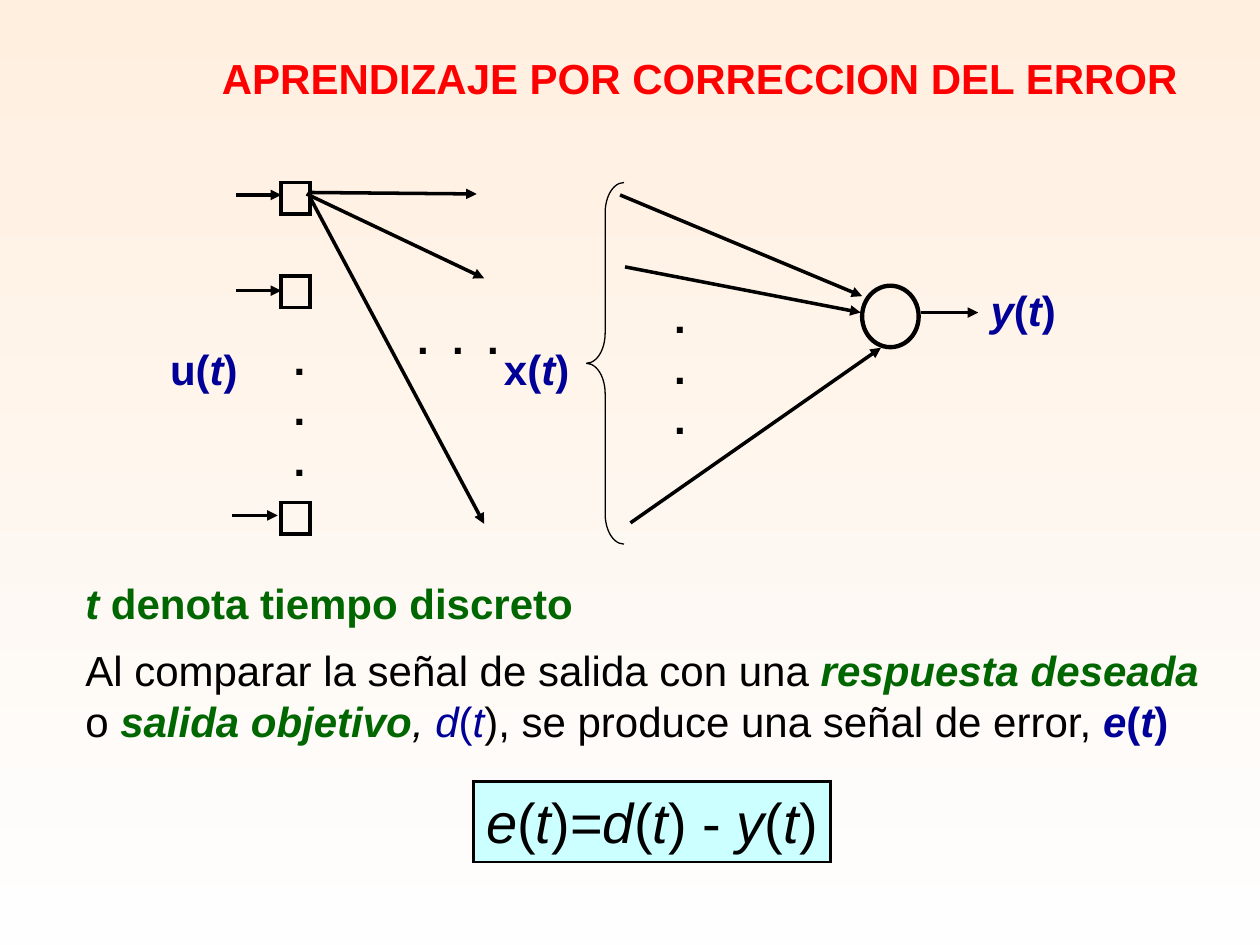
from lxml import etree
from pptx import Presentation
from pptx import util as u
from pptx.dml.color import RGBColor
from pptx.enum import shapes, text
from pptx.oxml import ns

BLACK, RED, GREEN, BLUE = "000000", "FF0000", "006600", "000099"


def rgb(value):
    return RGBColor.from_string(value)


def add_text(sp, paragraphs, size, wrap=True, space=0, fit=True):
    tf = sp.text_frame
    tf.word_wrap = wrap
    if fit:
        tf.auto_size = text.MSO_AUTO_SIZE.SHAPE_TO_FIT_TEXT
    for i, runs in enumerate(paragraphs):
        p = tf.add_paragraph() if i else tf.paragraphs[0]
        p.alignment = text.PP_ALIGN.LEFT
        p.space_before = p.space_after = u.Pt(space)
        for words, color, style in runs:
            r = p.add_run()
            r.text = words
            r.font.name = "Arial"
            r.font.size = u.Pt(size)
            r.font.bold = "b" in style
            r.font.italic = "i" in style
            r.font.color.rgb = rgb(color)
    return tf


def add_label(slide, x, y, w, h, paragraphs, size=24, **options):
    sp = slide.shapes.add_textbox(u.Cm(x), u.Cm(y), u.Cm(w), u.Cm(h))
    return add_text(sp, paragraphs, size, **options)


def add_outline(slide, kind, x, y, w, h, width, fill=None):
    sp = slide.shapes.add_shape(kind, u.Cm(x), u.Cm(y), u.Cm(w), u.Cm(h))
    sp.shadow.inherit = False
    if fill:
        sp.fill.solid()
        sp.fill.fore_color.rgb = rgb(fill)
    else:
        sp.fill.background()
    sp.line.color.rgb = rgb(BLACK)
    sp.line.width = u.Pt(width)
    etree.SubElement(sp.line._get_or_add_ln(), ns.qn("a:miter"), lim="800000")
    return sp


def add_arrow(slide, x1, y1, x2, y2):
    sp = slide.shapes.add_connector(
        shapes.MSO_CONNECTOR.STRAIGHT, u.Cm(x1), u.Cm(y1), u.Cm(x2), u.Cm(y2))
    sp.line.color.rgb = rgb(BLACK)
    sp.line.width = u.Pt(2)
    etree.SubElement(sp.line._get_or_add_ln(), ns.qn("a:tailEnd"), type="triangle")
    etree.SubElement(sp._element.spPr, ns.qn("a:effectLst"))


def add_signal(slide, x, y, name, style):
    runs = [(name, BLUE, style), ("(", BLUE, "b"), ("t", BLUE, "bi"), (")", BLUE, "b")]
    add_label(slide, x, y, 1.9, 1.27, [runs], wrap=False)


def add_vertical_dots(slide, x, y):
    add_label(slide, x, y, 0.74, 3.3, [[(".", BLACK, "b")]] * 3, wrap=False)


def add_title(slide, x, y, w, h):
    tf = add_label(slide, x, y, w, h,
                   [[("APRENDIZAJE POR CORRECCION DEL ERROR", RED, "b")]],
                   space=5, fit=False)
    tf.margin_left = tf.margin_right = u.Cm(0.28)
    tf.margin_top = tf.margin_bottom = u.Cm(0.15)
    p = tf.paragraphs[0]
    p.alignment = text.PP_ALIGN.CENTER
    pPr = p._p.get_or_add_pPr()
    pPr.set("marL", str(u.Cm(3.53)))
    pPr.set("indent", str(u.Cm(-0.71)))


def add_input_layer(slide, x, y):
    node_x = x + 2.49
    for node_y, arrow_x, arrow_y in ((0, 1.57, 0.25), (1.88, 1.57, 2.18), (6.45, 1.5, 6.71)):
        add_outline(slide, shapes.MSO_SHAPE.RECTANGLE, node_x, y + node_y, 0.58, 0.64, 2)
        add_arrow(slide, x + arrow_x, y + arrow_y, x + arrow_x + 0.92, y + arrow_y)
    add_signal(slide, x, y + 3.12, "u", "b")
    add_vertical_dots(slide, node_x, y + 2.92)
    for x1, y1, x2, y2 in ((3.07, 0.2, 6.43, 0.23), (3, 0.23, 6.58, 1.93),
                           (3.07, 0.3, 6.58, 6.88)):
        add_arrow(slide, x + x1, y + y1, x + x2, y + y2)
    add_label(slide, x + 4.98, y + 2.49, 2.69, 1.27, [[(".  .  .", BLACK, "b")]])


def add_output_neuron(slide, x, y):
    add_signal(slide, x, y + 3.12, "x", "b")
    brace = add_outline(slide, shapes.MSO_SHAPE.LEFT_BRACE, x + 1.91, y, 0.76, 7.29, 0.75)
    brace.adjustments[0] = 0.8
    brace.adjustments[1] = 0.5
    add_vertical_dots(slide, x + 3.43, y + 2.08)
    add_outline(slide, shapes.MSO_SHAPE.OVAL, x + 7.47, y + 2.08, 1.14, 1.24, 2.5)
    for x1, y1, x2, y2 in ((2.59, 0.25, 7.47, 2.29), (2.69, 1.7, 7.44, 2.62),
                           (2.8, 6.86, 7.85, 3.33), (8.66, 2.62, 9.81, 2.62)):
        add_arrow(slide, x + x1, y + y1, x + x2, y + y2)
    add_signal(slide, x + 9.81, y + 1.93, "y", "bi")


def add_explanation(slide, x, y, w, h):
    add_label(slide, x, y, w, h, [
        [("t", GREEN, "bi"), (" denota tiempo discreto", GREEN, "b")],
        [("Al comparar la señal de salida con una ", BLACK, ""),
         ("respuesta deseada ", GREEN, "bi"), ("o ", BLACK, ""),
         ("salida objetivo", GREEN, "bi"), (", ", BLACK, "i"),
         ("d", BLUE, "i"), ("(", BLUE, ""), ("t", BLUE, "i"),
         ("), se produce una señal de error, ", BLACK, ""),
         ("e", BLUE, "bi"), ("(", BLUE, "b"), ("t", BLUE, "bi"), (")", BLUE, "b")],
    ], space=5)


def add_formula(slide, x, y, w, h):
    sp = add_outline(slide, shapes.MSO_SHAPE.RECTANGLE, x, y, w, h, 1.5, "CCFFFF")
    parts = ("e", "(", "t", ")=", "d", "(", "t", ") - ", "y", "(", "t", ")")
    runs = [(part, BLACK, "i" if part.isalpha() else "") for part in parts]
    tf = add_text(sp, [runs], 32, wrap=False, space=5)
    tf.vertical_anchor = text.MSO_ANCHOR.TOP


def main():
    prs = Presentation()
    prs.slide_width, prs.slide_height = u.Cm(25.4), u.Cm(19.05)
    slide = prs.slides.add_slide(prs.slide_layouts[6])
    fill = slide.background.fill
    fill.gradient()
    fill.gradient_angle = 270
    for stop, color in zip(fill.gradient_stops, ("FFEFDF", "FEFEFE")):
        stop.color.rgb = rgb(color)
    add_title(slide, 0, 0.91, 25.4, 4.01)
    add_formula(slide, 9.55, 15.75, 7.19, 1.63)
    add_explanation(slide, 1.47, 11.51, 23.29, 3.66)
    add_input_layer(slide, 3.18, 3.68)
    add_output_neuron(slide, 9.91, 3.68)
    prs.save("out.pptx")


if __name__ == "__main__":
    main()
